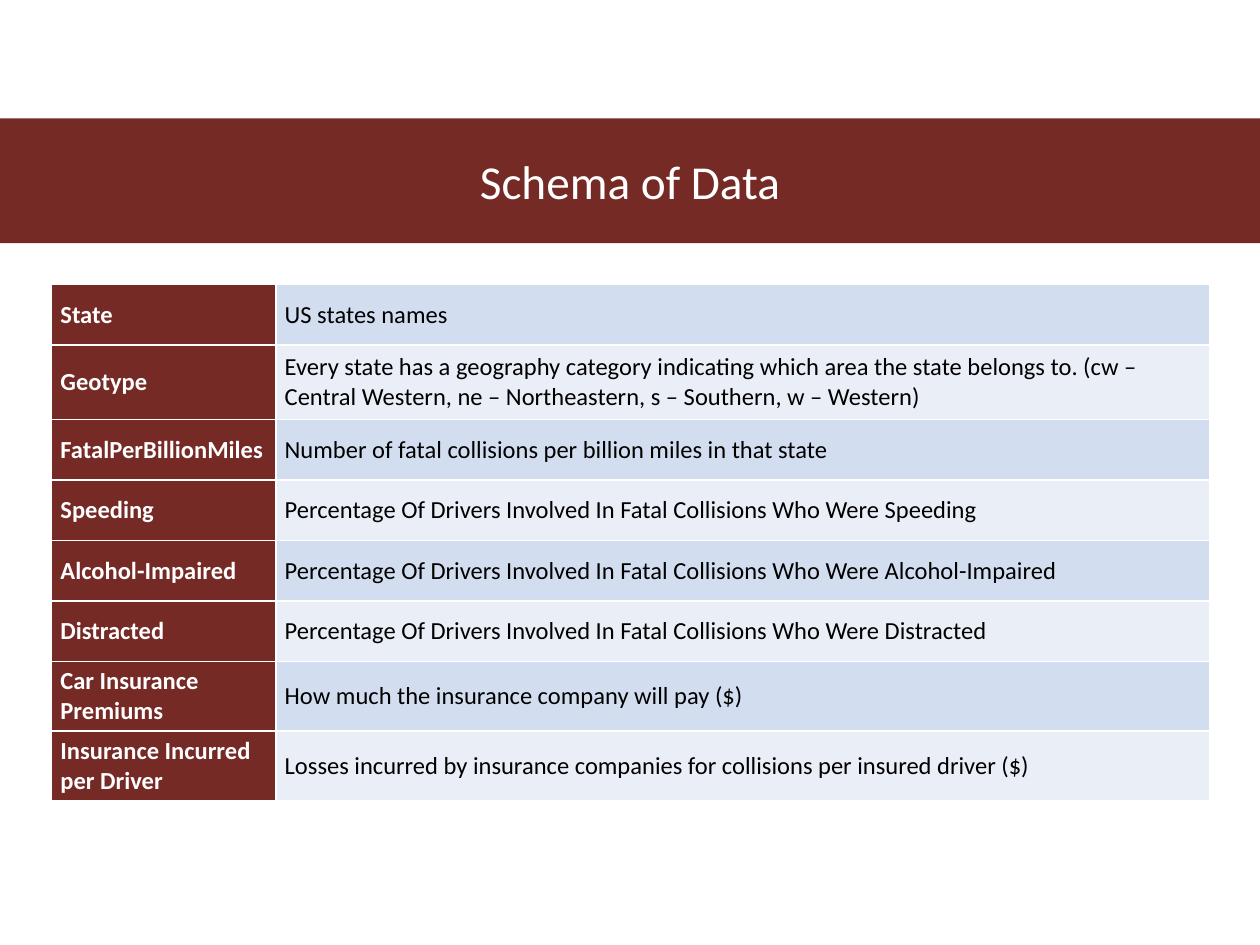
from pptx import Presentation
from pptx.dml.color import RGBColor
from pptx.enum.text import MSO_ANCHOR, MSO_AUTO_SIZE, PP_ALIGN
from pptx.oxml.ns import qn
from pptx.util import Inches, Pt
from lxml.etree import SubElement

TITLE = "Schema of Data"
FIELDS = [
    ("State", "US states names", 0.48),
    ("Geotype", "Every state has a geography category indicating which area the state belongs to. "
     "(cw – Central Western, ne – Northeastern, s – Southern, w – Western)", 0.59),
    ("FatalPerBillionMiles", "Number of fatal collisions per billion miles in that state", 0.48),
    ("Speeding", "Percentage Of Drivers Involved In Fatal Collisions Who Were Speeding", 0.48),
    ("Alcohol-Impaired",
     "Percentage Of Drivers Involved In Fatal Collisions Who Were Alcohol-Impaired", 0.48),
    ("Distracted", "Percentage Of Drivers Involved In Fatal Collisions Who Were Distracted", 0.48),
    ("Car Insurance Premiums", "How much the insurance company will pay ($)", 0.53),
    ("Insurance Incurred per Driver",
     "Losses incurred by insurance companies for collisions per insured driver ($)", 0.53),
]
COLUMN_WIDTHS = [1.78, 7.41]
MAROON, WHITE, BLACK = "762A26", "FFFFFF", "000000"
BANDS = ["D2DEEF", "EAEFF7"]


def paint(fill, color):
    fill.solid()
    fill.fore_color.rgb = RGBColor.from_string(color)


def format_text(frame, size, color, bold=False):
    for para in frame.paragraphs:
        for span in para.runs:
            span.font.name = "Calibri"
            span.font.size = Pt(size)
            span.font.bold = bold
            paint(span.font.fill, color)


def add_borders(cell, color):
    properties = cell._tc.get_or_add_tcPr()
    for side in ("lnL", "lnR", "lnT", "lnB"):
        line = SubElement(properties, qn(f"a:{side}"), w=str(Pt(1)))
        solid = SubElement(line, qn("a:solidFill"))
        SubElement(solid, qn("a:srgbClr"), val=color)


def fill_cell(cell, text, background, color, bold):
    cell.text_frame.text = text
    format_text(cell.text_frame, 14, color, bold)
    cell.vertical_anchor = MSO_ANCHOR.MIDDLE
    cell.margin_left = cell.margin_right = Inches(0.07)
    cell.margin_top = cell.margin_bottom = Inches(0.04)
    add_borders(cell, WHITE)
    paint(cell.fill, background)


def add_title(page):
    title = page.shapes.title
    title.left, title.top = Inches(0), Inches(0.94)
    title.width, title.height = Inches(10), Inches(0.99)
    paint(title.fill, MAROON)
    frame = title.text_frame
    frame.text = TITLE
    frame.auto_size = MSO_AUTO_SIZE.NONE
    frame.vertical_anchor = MSO_ANCHOR.MIDDLE
    frame.paragraphs[0].alignment = PP_ALIGN.CENTER
    format_text(frame, 27, WHITE)


def add_schema(page):
    height = sum(row_height for _, _, row_height in FIELDS)
    table = page.shapes.add_table(
        len(FIELDS), len(COLUMN_WIDTHS), Inches(0.41), Inches(2.26),
        Inches(sum(COLUMN_WIDTHS)), Inches(height)).table
    table.first_row = False
    table.first_col = True
    for column, width in zip(table.columns, COLUMN_WIDTHS):
        column.width = Inches(width)
    for index, (name, meaning, row_height) in enumerate(FIELDS):
        table.rows[index].height = Inches(row_height)
        fill_cell(table.cell(index, 0), name, MAROON, WHITE, True)
        fill_cell(table.cell(index, 1), meaning, BANDS[index % 2], BLACK, False)


def main():
    deck = Presentation()
    deck.slide_width, deck.slide_height = Inches(10), Inches(7.5)
    page = deck.slides.add_slide(deck.slide_layouts[5])
    add_title(page)
    add_schema(page)
    deck.save("out.pptx")


if __name__ == "__main__":
    main()
